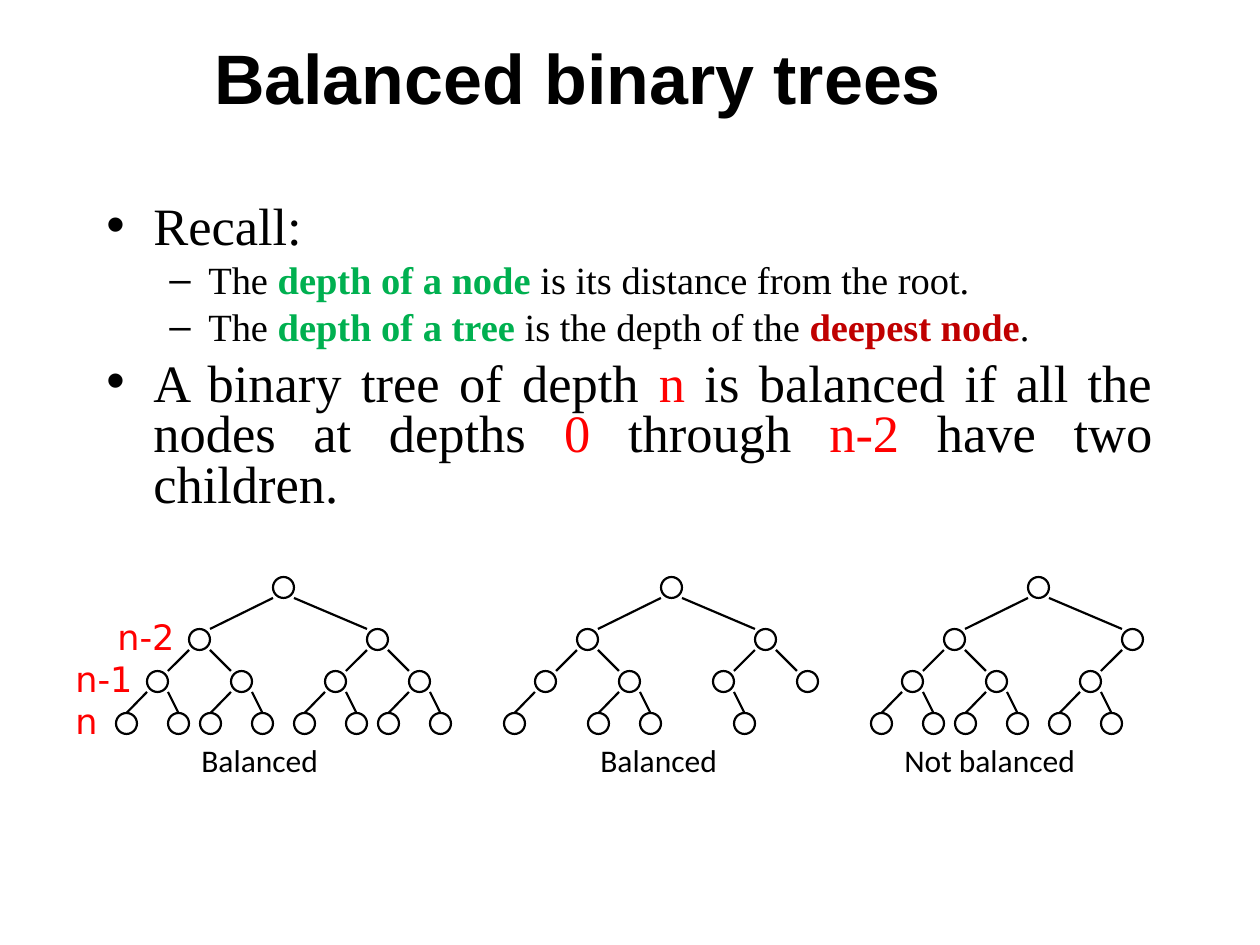
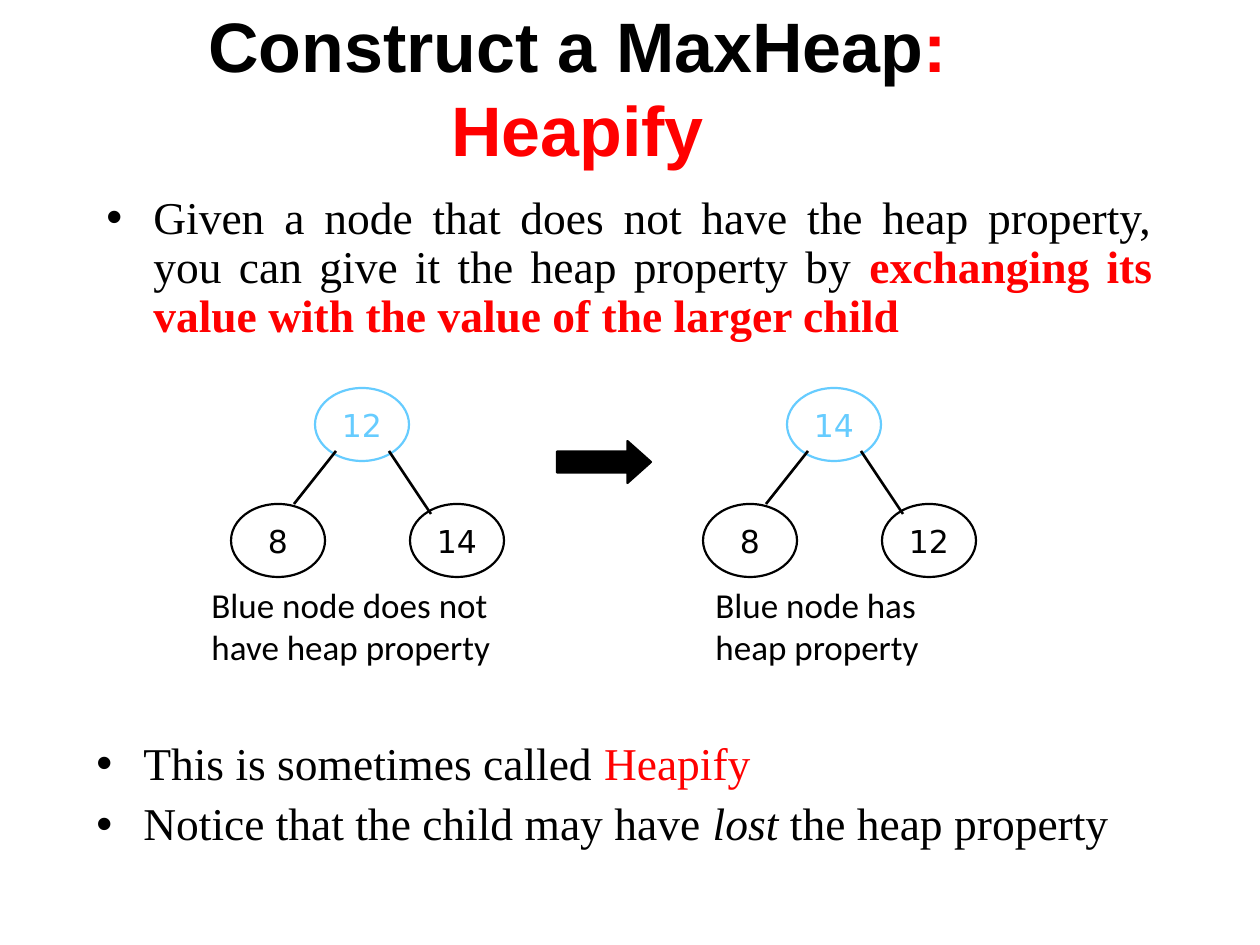
from lxml import etree
from pptx import Presentation
from pptx.dml.color import RGBColor
from pptx.enum.shapes import MSO_CONNECTOR, MSO_SHAPE
from pptx.enum.text import MSO_ANCHOR, PP_ALIGN
from pptx.oxml.ns import qn
from pptx.util import Inches, Pt

OVAL, ARROW = MSO_SHAPE.OVAL, MSO_SHAPE.RIGHT_ARROW
STRAIGHT = MSO_CONNECTOR.STRAIGHT
TOP, MIDDLE = MSO_ANCHOR.TOP, MSO_ANCHOR.MIDDLE
LEFT, CENTER, JUSTIFY = PP_ALIGN.LEFT, PP_ALIGN.CENTER, PP_ALIGN.JUSTIFY

BLACK, RED, DARK_RED = "000000", "FF0000", "C00000"
GREEN, BLUE = "00B050", "66CCFF"
TITLE_FONT, BODY_FONT = "Arial", "Times New Roman"
CAPTION_FONT, NODE_FONT = "Calibri", "DejaVu Sans"

NODE = 21
LEVEL_TOPS = [577, 629, 671, 713]
CHILD_SHIFTS = [(-84, 94), (-42, 42), (-31, 21)]
BULLETS = [("•", 47, -47), ("–", 102, -39)]


def px(length):
    return round(length * Inches(1) / 126)


def rgb(value):
    return RGBColor.from_string(value)


class Deck:
    def __init__(self):
        self.prs = Presentation()
        self.prs.slide_width, self.prs.slide_height = Inches(10), Inches(7.5)
        self.slide = None

    def new_slide(self):
        self.slide = self.prs.slides.add_slide(self.prs.slide_layouts[6])

    def runs(self, paragraph, pieces, font, size):
        for text, color, *marks in pieces:
            run = paragraph.add_run()
            run.text = text
            run.font.name, run.font.size = font, Pt(size)
            run.font.color.rgb = rgb(color)
            run.font.bold = "bold" in marks
            run.font.italic = "italic" in marks

    def box(self, left, top, width, height, anchor=TOP):
        frame = self.slide.shapes.add_textbox(
            px(left), px(top), px(width), px(height)).text_frame
        frame.word_wrap = True
        frame.vertical_anchor = anchor
        return frame

    def title(self, height, pieces):
        paragraph = self.box(63, 38, 1029, height, MIDDLE).paragraphs[0]
        paragraph.alignment = CENTER
        self.runs(paragraph, [(*piece, "bold") for piece in pieces], TITLE_FONT, 40)

    def label(self, text, left, top, width, height, font, size, color=BLACK):
        paragraph = self.box(left, top, width, height).paragraphs[0]
        paragraph.alignment = LEFT
        paragraph.space_before = Pt(size * 0.625)
        self.runs(paragraph, [(text, color)], font, size)

    def bullets(self, left, top, width, height, spacing, items):
        frame = self.box(left, top, width, height)
        for number, (level, size, pieces) in enumerate(items):
            paragraph = frame.add_paragraph() if number else frame.paragraphs[0]
            paragraph.alignment, paragraph.level = JUSTIFY, level
            paragraph.line_spacing = spacing
            paragraph.space_before = Pt(size / 4)
            mark, margin, indent = BULLETS[level]
            props = paragraph._p.get_or_add_pPr()
            props.set("marL", str(px(margin)))
            props.set("indent", str(px(indent)))
            etree.SubElement(props, qn("a:buFont")).set("typeface", TITLE_FONT)
            etree.SubElement(props, qn("a:buChar")).set("char", mark)
            self.runs(paragraph, pieces, BODY_FONT, size)

    def shape(self, kind, left, top, width, height, color=BLACK, fill=None):
        shape = self.slide.shapes.add_shape(
            kind, px(left), px(top), px(width), px(height))
        shape.shadow.inherit = False
        if fill:
            shape.fill.solid()
            shape.fill.fore_color.rgb = rgb(fill)
        else:
            shape.fill.background()
        shape.line.color.rgb = rgb(color)
        shape.line.width = Pt(1.25)
        return shape

    def value_node(self, value, left, top, color=BLACK):
        frame = self.shape(OVAL, left, top, 94, 73, color).text_frame
        frame.word_wrap = False
        frame.vertical_anchor = MIDDLE
        frame.paragraphs[0].alignment = CENTER
        self.runs(frame.paragraphs[0], [(value, color)], NODE_FONT, 18)

    def edge(self, x1, y1, x2, y2, weight=1.25):
        line = self.slide.shapes.add_connector(
            STRAIGHT, px(x1), px(y1), px(x2), px(y2))
        line.line.color.rgb = rgb(BLACK)
        line.line.width = Pt(weight)
        etree.SubElement(line._element.spPr, qn("a:effectLst"))

    def tree(self, root_left, present):
        lefts = {1: root_left}
        for node in present:
            depth = node.bit_length() - 1
            top = LEVEL_TOPS[depth]
            if node > 1:
                side = node % 2
                parent = lefts[node // 2]
                lefts[node] = parent + CHILD_SHIFTS[depth - 1][side]
                inner = NODE / 2 if depth == 3 else NODE * (1 - side)
                self.edge(parent + NODE * side, LEVEL_TOPS[depth - 1] + NODE,
                          lefts[node] + inner, top)
            self.shape(OVAL, lefts[node], top, NODE, NODE)

    def heap(self, left, root, children):
        self.value_node(root, left + 84, 388, BLUE)
        for value, shift in zip(children, (0, 179)):
            self.value_node(value, left + shift, 504)
        self.edge(left + 105, 451, left + 63, 504, 1.5)
        self.edge(left + 158, 451, left + 200, 514, 1.5)


deck = Deck()

deck.new_slide()
deck.title(78, [("Balanced binary trees", BLACK)])
deck.bullets(94, 199, 1071, 336, 0.8, [
    (0, 30, [("Recall:", BLACK)]),
    (1, 22, [("The ", BLACK), ("depth of a node ", GREEN, "bold"),
             ("is its distance from the root.", BLACK)]),
    (1, 22, [("The ", BLACK), ("depth of a tree ", GREEN, "bold"),
             ("is the depth of the ", BLACK),
             ("deepest node", DARK_RED, "bold"), (".", BLACK)]),
    (0, 30, [("A binary tree of depth ", BLACK), ("n", RED),
             (" is balanced if all the nodes at depths ", BLACK),
             ("0 ", RED), ("through ", BLACK), ("n-2", RED),
             (" have two children.", BLACK)]),
])
TREES = [
    (273, range(1, 16), "Balanced", 189, 189),
    (661, [*range(1, 9), 10, 11, 13], "Balanced", 588, 199),
    (1028, [*range(1, 7), *range(8, 14)], "Not balanced", 892, 262),
]
for root_left, present, verdict, left, width in TREES:
    deck.tree(root_left, present)
    deck.label(verdict, left, 735, width, 50, CAPTION_FONT, 18)
for row, (depth, left) in enumerate([("n-2", 105), ("n-1", 63), ("n", 63)]):
    deck.label(depth, left, 609 + 42 * row, 95, 55, NODE_FONT, 20, RED)

deck.new_slide()
deck.title(98, [("Construct a MaxHeap", BLACK), (": Heapify", RED)])
deck.bullets(94, 189, 1071, 168, 0.9, [
    (0, 26, [("Given a node that does not have the heap property, "
              "you can give it the heap property by ", BLACK),
             ("exchanging its value with the value of the larger child",
              RED, "bold")]),
])
deck.bullets(84, 735, 1081, 178, 0.9, [
    (0, 26, [("This is sometimes called ", BLACK), ("Heapify", RED)]),
    (0, 26, [("Notice that the child may have ", BLACK),
             ("lost", BLACK, "italic"), (" the heap property", BLACK)]),
])
deck.heap(231, "12", ["8", "14"])
deck.label("Blue node does not have heap property",
           199, 577, 357, 97, CAPTION_FONT, 20)
deck.heap(703, "14", ["8", "12"])
deck.label("Blue node has heap property",
           703, 577, 273, 97, CAPTION_FONT, 20)
exchange = deck.shape(ARROW, 557, 441, 94, 42, fill=BLACK)
exchange.adjustments[0], exchange.adjustments[1] = 0.5, 0.56

deck.prs.save("out.pptx")
